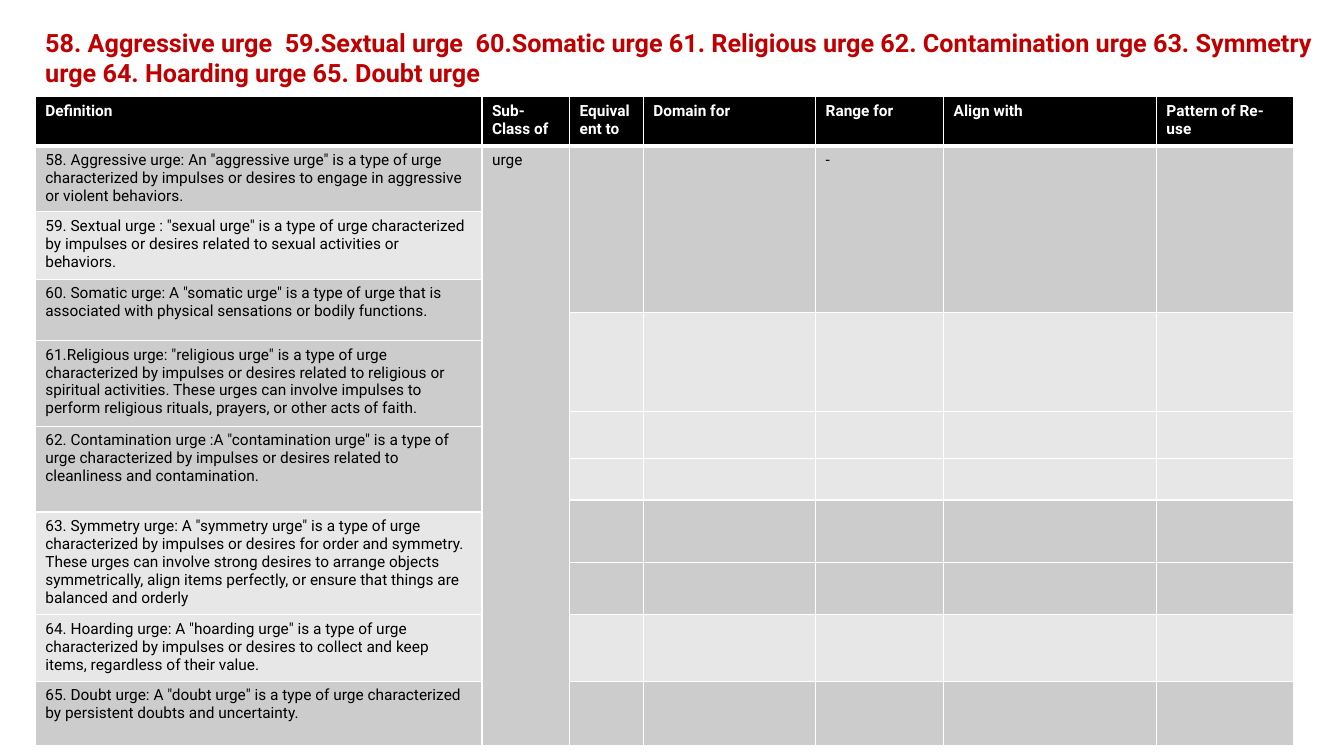
from lxml import etree
from pptx import Presentation
from pptx.dml.color import RGBColor
from pptx.oxml.ns import qn
from pptx.util import Inches, Pt

FONT = "Roboto"
RED, BLACK, WHITE = "C00000", "000000", "FFFFFF"
DARK, LIGHT = "CCCCCC", "E7E7E7"

TITLE = ("58. Aggressive urge  59.Sextual urge  60.Somatic urge 61. Religious urge "
         "62. Contamination urge 63. Symmetry urge 64. Hoarding urge 65. Doubt urge")
HEADERS = ["Definition", "Sub-Class of", "Equivalent to", "Domain for",
           "Range for", "Align with", "Pattern of Re-use"]
COL_WIDTHS = [4.43, 0.87, 0.73, 1.71, 1.27, 2.11, 1.36]
ROW_HEIGHTS = [0.49, 0.65, 0.67, 0.33, 0.28, 0.7, 0.15,
               0.32, 0.41, 0.12, 0.5, 0.52, 0.66, 0.64]

# First row, rows spanned, fill, text
DEFINITIONS = [
    (1, 1, DARK, '58. Aggressive urge: An "aggressive urge" is a type of urge characterized '
     'by impulses or desires to engage in aggressive or violent behaviors.'),
    (2, 1, LIGHT, '59. Sextual urge : "sexual urge" is a type of urge characterized by '
     'impulses or desires related to sexual activities or behaviors.'),
    (3, 2, DARK, '60. Somatic urge: A "somatic urge" is a type of urge that is associated '
     'with physical sensations or bodily functions.'),
    (5, 2, DARK, '61.Religious urge: "religious urge" is a type of urge characterized by '
     'impulses or desires related to religious or spiritual activities. These urges can '
     'involve impulses to perform religious rituals, prayers, or other acts of faith.'),
    (7, 3, DARK, '62. Contamination urge :A "contamination urge" is a type of urge '
     'characterized by impulses or desires related to cleanliness and contamination.'),
    (10, 2, LIGHT, '63. Symmetry urge: A "symmetry urge" is a type of urge characterized by '
     'impulses or desires for order and symmetry. These urges can involve strong desires to '
     'arrange objects symmetrically, align items perfectly, or ensure that things are '
     'balanced and orderly'),
    (12, 1, LIGHT, '64. Hoarding urge: A "hoarding urge" is a type of urge characterized by '
     'impulses or desires to collect and keep items, regardless of their value.'),
    (13, 1, DARK, '65. Doubt urge: A "doubt urge" is a type of urge characterized by '
     'persistent doubts and uncertainty.'),
]
# First row, rows spanned, fill of the property columns
PROPERTY_BANDS = [(1, 3, DARK), (4, 2, LIGHT), (6, 2, LIGHT), (8, 1, LIGHT),
                  (9, 2, DARK), (11, 1, DARK), (12, 1, LIGHT), (13, 1, DARK)]


def rgb(value):
    return RGBColor.from_string(value)


def add_run(p, text, size, color, bold=False):
    r = p.add_run()
    r.text = text
    r.font.name = FONT
    r.font.size = Pt(size)
    r.font.bold = bold
    r.font.color.rgb = rgb(color)


def set_borders(cell, top=1, bottom=1):
    tcPr = cell._tc.get_or_add_tcPr()
    for i, (side, width) in enumerate(
            [("lnL", 1), ("lnR", 1), ("lnT", top), ("lnB", bottom)]):
        ln = etree.Element(qn("a:" + side), w=str(Pt(width)))
        fill = etree.SubElement(ln, qn("a:solidFill"))
        etree.SubElement(fill, qn("a:srgbClr"), val=WHITE)
        tcPr.insert(i, ln)


def fill_block(table, row, col, span, fill, text="", color=BLACK, bold=False):
    """Fill one cell, merged downwards over span rows."""
    cell = table.cell(row, col)
    if span > 1:
        cell.merge(table.cell(row + span - 1, col))
    cell.fill.solid()
    cell.fill.fore_color.rgb = rgb(fill)
    if text:
        add_run(cell.text_frame.paragraphs[0], text, 11, color, bold)


def add_title(slide, x, y, w, h):
    tf = slide.shapes.add_textbox(Inches(x), Inches(y), Inches(w), Inches(h)).text_frame
    tf.word_wrap = True
    add_run(tf.paragraphs[0], TITLE, 18, RED, True)


def add_urge_table(slide, x, y, w, h):
    n_rows, n_cols = len(ROW_HEIGHTS), len(COL_WIDTHS)
    table = slide.shapes.add_table(n_rows, n_cols, Inches(x), Inches(y),
                                   Inches(w), Inches(h)).table
    for column, width in zip(table.columns, COL_WIDTHS):
        column.width = Inches(w * width / sum(COL_WIDTHS))
    for row, height in zip(table.rows, ROW_HEIGHTS):
        row.height = Inches(h * height / sum(ROW_HEIGHTS))

    # Borders, and a small size for empty cells so that low rows stay low
    for i in range(n_rows):
        for j in range(n_cols):
            cell = table.cell(i, j)
            set_borders(cell, 3 if i == 1 else 1, 3 if i == 0 else 1)
            p = cell.text_frame.paragraphs[0]
            etree.SubElement(p._p, qn("a:endParaRPr"), sz="1100")

    # Header row
    for j, header in enumerate(HEADERS):
        fill_block(table, 0, j, 1, BLACK, header, WHITE, True)

    # Definitions and their common parent class
    for row, span, fill, text in DEFINITIONS:
        fill_block(table, row, 0, span, fill, text)
    fill_block(table, 1, 1, n_rows - 1, DARK, "urge")

    # Property columns
    for row, span, fill in PROPERTY_BANDS:
        for j in range(2, n_cols):
            is_range = row == 1 and HEADERS[j] == "Range for"
            fill_block(table, row, j, span, fill, "-" if is_range else "")


def main():
    prs = Presentation()
    prs.slide_width, prs.slide_height = Inches(13.33), Inches(7.5)
    slide = prs.slides.add_slide(prs.slide_layouts[6])
    add_title(slide, 0.35, 0.22, 12.81, 1.31)
    add_urge_table(slide, 0.35, 0.96, sum(COL_WIDTHS), sum(ROW_HEIGHTS))
    prs.save("out.pptx")


if __name__ == "__main__":
    main()
